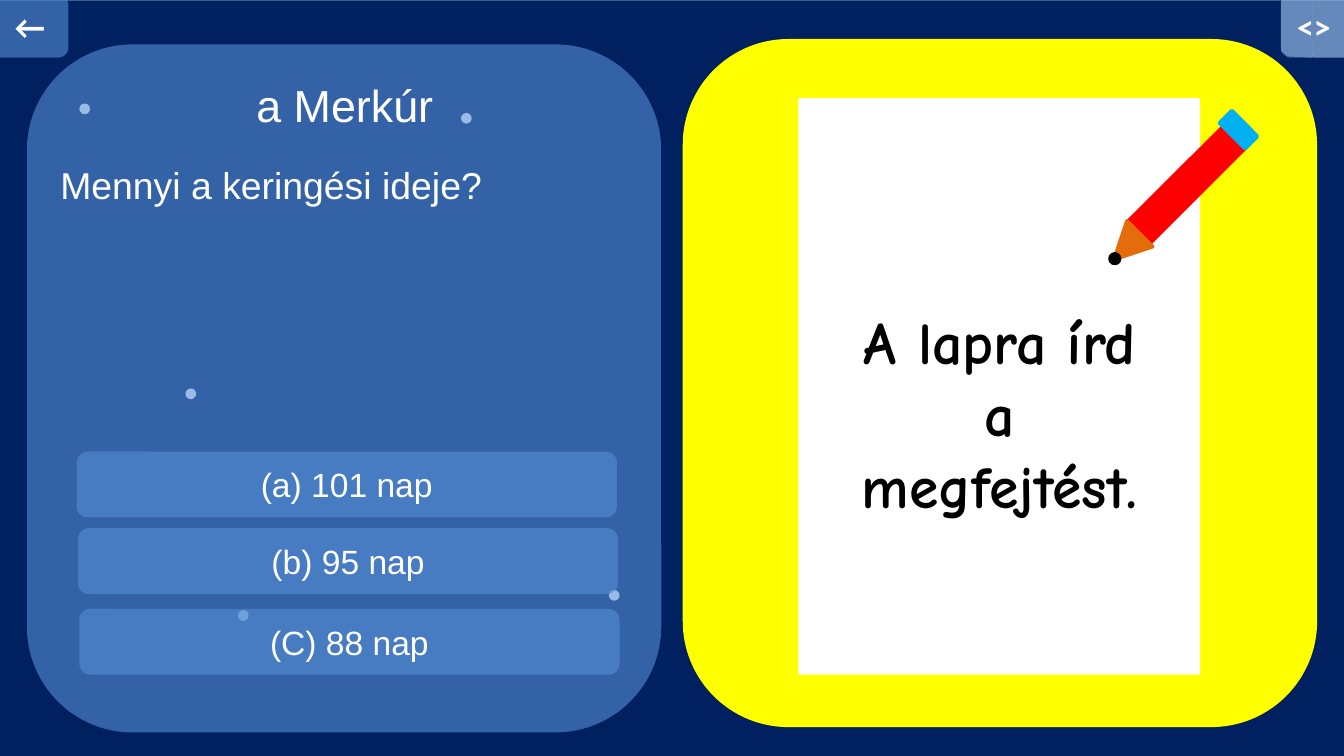
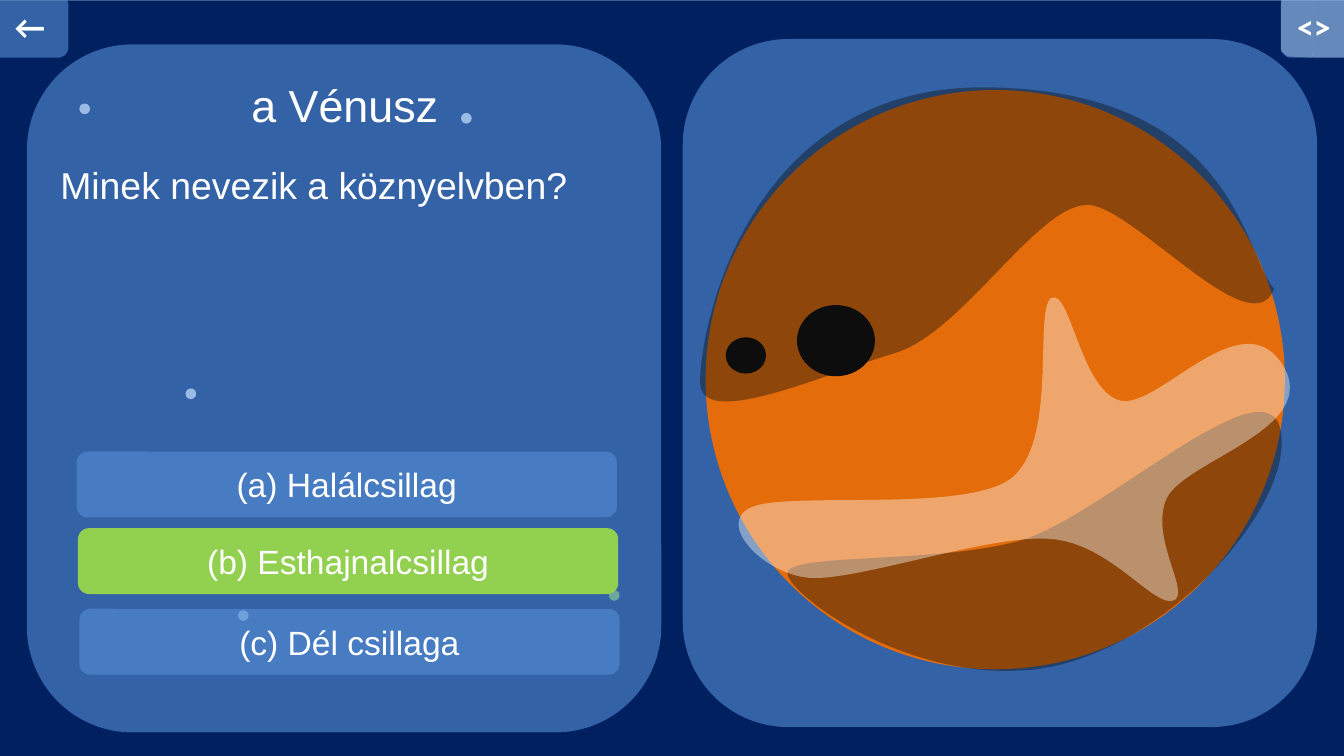
import math

from lxml import etree
from pptx import Presentation
from pptx import util as u
from pptx.dml.color import RGBColor
from pptx.enum import shapes, text
from pptx.oxml.ns import qn

# Grid: 100 columns across a 10 inch slide, square cells
CELL = 91440
COLUMNS, ROWS = 100, 56.25

NAVY, NAVY_EDGE, BLUE = "002060", "3A5F8C", "558ED5"
WHITE, BLACK, CHARCOAL = "FFFFFF", "000000", "0D0D0D"
YELLOW, GREEN, ORANGE = "FFFF00", "92D050", "E46C0A"
RED, SKY = "FF0000", "00B0F0"
GLASS = 60  # opacity of the blue panels, in percent

RECT = shapes.MSO_SHAPE.RECTANGLE
ROUND = shapes.MSO_SHAPE.ROUNDED_RECTANGLE
OVAL = shapes.MSO_SHAPE.OVAL
TRIANGLE = shapes.MSO_SHAPE.ISOSCELES_TRIANGLE
CENTER, LEFT = text.PP_ALIGN.CENTER, text.PP_ALIGN.LEFT

RIGHT_PANEL = (50.8, 2.9, 47.2, 51.2)
DOTS = [(45.3, 43.9), (34.3, 8.4), (13.8, 28.9), (17.7, 45.4), (5.9, 7.7)]
ANSWER_SPOTS = [(5.7, 33.6), (5.8, 39.3), (5.9, 45.3)]

# Outlines: a start point, then lines (2 numbers) or cubic curves (6 numbers)
TAB_HALVES = [
    [(95.3, 0), (95.6, -0.3, 95.5, -0.1, 95.7, -0.4), (97.5, -0.4),
     (97.8, -0.4, 97.7, -0.3, 97.7, 0), (97.7, 3.9),
     (97.7, 4.1, 97.8, 4.3, 97.6, 4.3), (95.8, 4.2),
     (95.6, 4, 95.7, 4.1, 95.3, 3.8), (95.3, 0)],
    [(97.7, 0), (97.7, -0.2, 97.6, -0.4, 97.8, -0.4), (100, -0.4),
     (100.3, -0.4, 100.5, -0.2, 100.5, 0), (100.5, 3.8),
     (100.5, 4.1, 100.6, 4.3, 100.3, 4.3), (97.8, 4.3),
     (97.6, 4.3, 97.7, 4.1, 97.7, 3.8), (97.7, 0)],
]
SOUTH_SHADE = [
    (58.6, 42.7), (58.4, 41.1, 69.9, 42, 76, 40.2),
    (82.1, 38.4, 94.4, 26.6, 95.3, 32.1),
    (96.3, 37.7, 86.6, 48.6, 77.1, 49.8),
    (67.6, 50.9, 58.8, 44.3, 58.6, 42.7)]
SOUTH_PIVOT, SOUTH_TURN = (77.7, 41.55), 349.9
CLOUD = [
    (55.8, 37.8), (58.3, 36.5, 71.4, 38.2, 75.1, 35.7),
    (78.8, 33.1, 76.9, 23.2, 78.2, 22.2),
    (79.6, 21.3, 80.4, 29, 83.3, 29.8),
    (86.1, 30.6, 92.3, 22.3, 95.4, 27.1),
    (98.5, 31.9, 88.2, 34.2, 86.8, 37.1),
    (85.5, 40.1, 88.7, 44.2, 87.3, 44.7),
    (85.8, 45.2, 82.5, 40.3, 78, 40.1),
    (73.5, 39.8, 63.6, 43.3, 60.2, 43),
    (56.8, 42.7, 53.3, 39, 55.8, 37.8)]
NORTH_SHADE = [
    (52.1, 28.5), (52, 24.9, 55.4, 6.2, 73.6, 6.5),
    (91.9, 6.8, 92.5, 18.8, 94.8, 21.5),
    (93.2, 25.7, 85.2, 16.3, 81.4, 15.3),
    (77.6, 14.4, 71.8, 24.8, 66.5, 26.3),
    (61.2, 27.9, 52.2, 32, 52.1, 28.5)]


def color(value):
    return RGBColor.from_string(value)


def cells(*values):
    return [u.Emu(round(value * CELL)) for value in values]


def paint(shape, fill, opacity=100, edge=None):
    shape.shadow.inherit = False
    shape.fill.solid()
    shape.fill.fore_color.rgb = color(fill)
    if opacity < 100:
        tone = shape._element.spPr.find(qn("a:solidFill"))[0]
        etree.SubElement(tone, qn("a:alpha"), val=str(opacity * 1000))
    if edge:
        shape.line.color.rgb = color(edge)
        shape.line.width = u.Pt(2)
    else:
        shape.line.fill.background()


def add_block(parent, kind, at, fill, opacity=100, edge=None, turn=0):
    shape = parent.add_shape(kind, *cells(*at))
    shape.rotation = turn
    paint(shape, fill, opacity, edge)
    return shape


def turned(point, pivot, degrees):
    angle = math.radians(degrees)
    x, y = point[0] - pivot[0], point[1] - pivot[1]
    return (pivot[0] + x * math.cos(angle) - y * math.sin(angle),
            pivot[1] + x * math.sin(angle) + y * math.cos(angle))


def curve_points(controls):
    """Points along one cubic curve, used to find its extent."""
    for index in range(51):
        t = index / 50
        s = 1 - t
        weights = (s ** 3, 3 * s * s * t, 3 * s * t * t, t ** 3)
        yield [sum(w * p[axis] for w, p in zip(weights, controls))
               for axis in (0, 1)]


def add_outline(parent, steps, fill, opacity, pivot=(0, 0), turn=0):
    """Draw a closed outline whose box fits its lines and curves."""
    parts = [[turned(step[i:i + 2], pivot, -turn)
              for i in range(0, len(step), 2)] for step in steps]
    points = [point for part in parts for point in part]
    reach = []
    for before, part in zip(parts, parts[1:]):
        is_curve = len(part) == 3
        reach += curve_points([before[-1]] + part) if is_curve else part
    reach += parts[0]

    builder = parent.build_freeform(*cells(*points[0]), scale=1.0)
    builder.add_line_segments([cells(*point) for point in points[1:]])
    shape = builder.convert_to_shape()

    # Fit the box to the visible outline
    xs, ys = zip(*reach)
    left, top, width, height = cells(
        min(xs), min(ys), max(xs) - min(xs), max(ys) - min(ys))
    shift = {"x": shape.left - left, "y": shape.top - top}
    track = next(shape._element.iter(qn("a:path")))
    for spot in track.iter(qn("a:pt")):
        for axis, amount in shift.items():
            spot.set(axis, str(int(spot.get(axis)) + amount))
    track.set("w", str(width))
    track.set("h", str(height))
    shape.left, shape.top, shape.width, shape.height = left, top, width, height

    # Join each three control points into one curve
    lines = iter(track.findall(qn("a:lnTo")))
    for part in parts[1:]:
        first = next(lines)
        if len(part) == 3:
            first.addprevious(curve := etree.Element(qn("a:cubicBezTo")))
            for line in (first, next(lines), next(lines)):
                curve.append(line[0])
                track.remove(line)
    shape.rotation = turn
    paint(shape, fill, opacity)


def write(shape, words, size, font="Arial", tone=WHITE, bold=False,
          align=CENTER):
    frame = shape.text_frame
    frame.word_wrap = True
    para = frame.paragraphs[0]
    para.text = words
    para.alignment = align
    span = para.runs[0].font
    span.size, span.name, span.bold = u.Pt(size), font, bold
    span.color.rgb = color(tone)


def add_text(page, at, words, size, **style):
    box = page.shapes.add_textbox(*cells(*at))
    write(box, words, size, **style)
    box.text_frame.auto_size = text.MSO_AUTO_SIZE.SHAPE_TO_FIT_TEXT


def add_button(parent, at, words, fill=BLUE, opacity=GLASS, **style):
    button = add_block(parent, ROUND, at, fill, opacity)
    button.text_frame.vertical_anchor = text.MSO_ANCHOR.MIDDLE
    write(button, words, 18, **style)


def add_quiz(page, title, question, answers, correct=None, depth=4.4):
    """Backdrop, dots, left panel, back tab and the three answers."""
    add_block(page.shapes, RECT, (-0.2, -0.1, COLUMNS + 0.4, ROWS + 0.25),
              NAVY, edge=NAVY_EDGE)
    for index, (left, top) in enumerate(DOTS):
        marked = index == 0 and correct is not None
        add_block(page.shapes, OVAL, (left, top, 0.8, 0.8),
                  GREEN if marked else WHITE)
    add_block(page.shapes, ROUND, (2, 3.3, 47.2, 51.2), BLUE, GLASS)
    add_text(page, (9.1, 5.3, 33.1, 5), title, 24)
    add_text(page, (3.5, 11.6, 44.1, depth), question, 20, align=LEFT)
    add_button(page.shapes, (-1.2, -0.4, 6.3, 4.7), " ←",
               font="Calibri", bold=True)
    for row in (2, 0, 1):
        look = (GREEN, 100) if row == correct else (BLUE, GLASS)
        add_button(page.shapes, (*ANSWER_SPOTS[row], 40.2, 4.9),
                   answers[row], *look)


def add_code_tab(page):
    group = page.shapes.add_group_shape().shapes
    add_button(group, (95.3, -0.4, 6.3, 4.7), "<>",
               font="Calibri", bold=True, align=LEFT)
    for half in TAB_HALVES:
        add_outline(group, half, WHITE, 25)


def add_answer_sheet(page):
    add_block(page.shapes, ROUND, RIGHT_PANEL, YELLOW)
    add_block(page.shapes, RECT, (59.4, 7.3, 29.9, 42.9), WHITE)
    add_text(page, (61.8, 22.2, 25.2, 11.8), "A lapra írd a megfejtést.", 32,
             font="Comic Neue", tone=BLACK, bold=True)
    # Pencil: body, wood, lead, end cap
    group = page.shapes.add_group_shape().shapes
    for kind, at, tone, turn in [
            (RECT, (83.1, 12.6, 10.4, 2.3), RED, 315),
            (TRIANGLE, (82.5, 17, 2.7, 2.7), ORANGE, 225),
            (OVAL, (82.6, 18.9, 0.7, 0.7), BLACK, 0),
            (RECT, (91.5, 8.3, 1.3, 2.7), SKY, 315)]:
        add_block(group, kind, at, tone, edge=tone, turn=turn)


def add_planet(page):
    add_block(page.shapes, ROUND, RIGHT_PANEL, BLUE, GLASS)
    group = page.shapes.add_group_shape().shapes
    add_block(group, OVAL, (52.5, 6.7, 43.1, 43.1), ORANGE)
    add_outline(group, SOUTH_SHADE, CHARCOAL, 40, SOUTH_PIVOT, SOUTH_TURN)
    add_outline(group, CLOUD, WHITE, 40)
    add_outline(group, NORTH_SHADE, CHARCOAL, 40)
    for crater in [(59.3, 22.7, 5.8, 5.3), (54, 25.1, 3, 2.7)]:
        add_block(group, OVAL, crater, CHARCOAL)


def main():
    deck = Presentation()
    deck.slide_width, deck.slide_height = cells(COLUMNS, ROWS)
    blank = deck.slide_layouts[6]

    # Mercury
    page = deck.slides.add_slide(blank)
    add_quiz(page, "a Merkúr", "Mennyi a keringési ideje?",
             ["(a) 101 nap", "(b) 95 nap", "(C) 88 nap"])
    add_answer_sheet(page)
    add_code_tab(page)

    # Venus
    page = deck.slides.add_slide(blank)
    add_quiz(page, "a Vénusz", "Minek nevezik a köznyelvben?",
             ["(a) Halálcsillag", "(b) Esthajnalcsillag",
              "(c) Dél csillaga"], correct=1, depth=7.7)
    add_planet(page)
    add_code_tab(page)

    deck.save("out.pptx")


if __name__ == "__main__":
    main()
